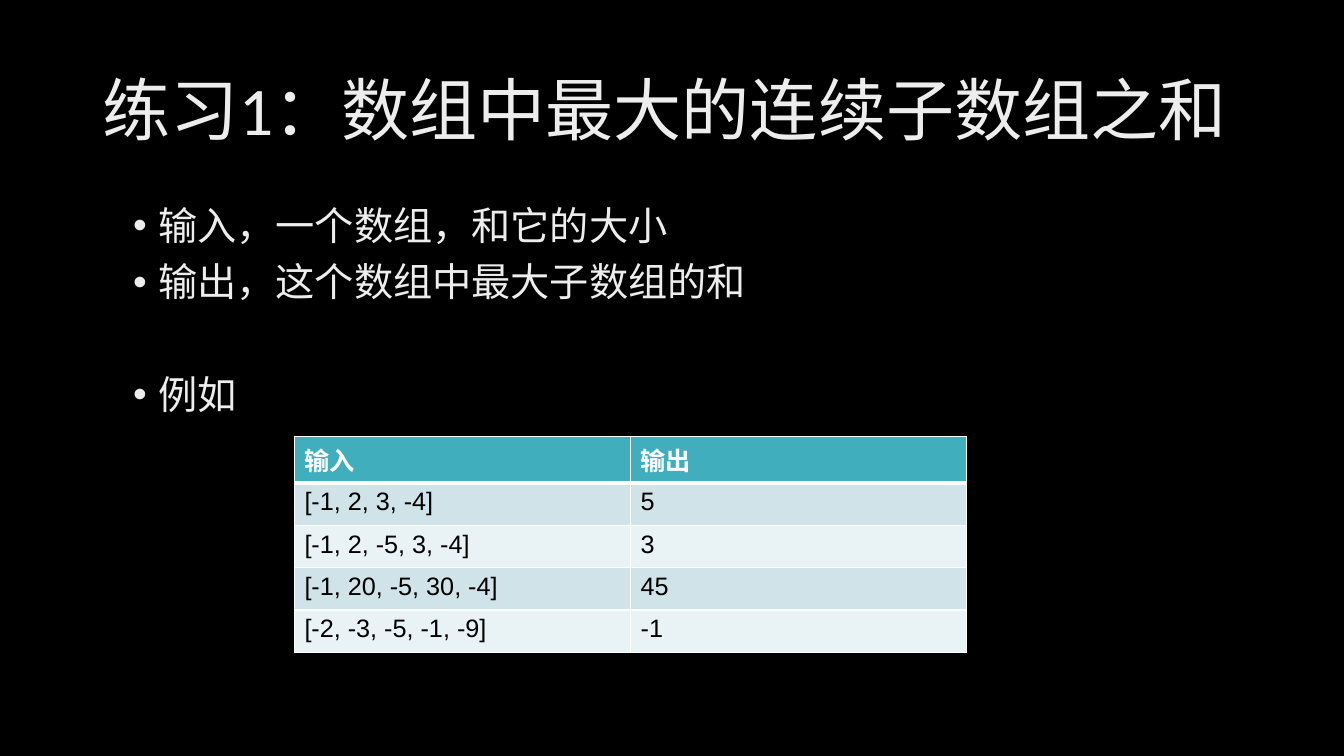
from lxml import etree
from pptx import Presentation
from pptx import util as u
from pptx.dml.color import RGBColor
from pptx.enum import text
from pptx.oxml import ns

COLORS = {
    "background": "000000",
    "heading": "EDEDED",
    "header": "41AEBD",
    "odd": "CFE3E8",
    "even": "E9F2F4",
    "border": "FFFFFF",
    "header_text": "FFFFFF",
    "cell_text": "000000",
}
EXAMPLES = [
    ("输入", "输出"),
    ("[-1, 2, 3, -4]", "5"),
    ("[-1, 2, -5, 3, -4]", "3"),
    ("[-1, 20, -5, 30, -4]", "45"),
    ("[-2, -3, -5, -1, -9]", "-1"),
]
BULLETS = [
    ("输入，一个数组，和它的大小", 10),
    ("输出，这个数组中最大子数组的和", 10),
    ("例如", 50),
]


class ExerciseSlide:
    """Holds the style and the current slide, and adds each kind of element."""

    def __init__(self, presentation):
        self.slide = presentation.slides.add_slide(presentation.slide_layouts[1])
        fill = self.slide.background.fill
        fill.solid()
        fill.fore_color.rgb = RGBColor.from_string(COLORS["background"])

    def apply(self, target, values):
        for name, value in values.items():
            setattr(target, name, value)

    def style_font(self, paragraph, color, **values):
        font = paragraph.runs[0].font
        self.apply(font, values)
        font.color.rgb = RGBColor.from_string(COLORS[color])

    def place(self, shape, left, top, width, height, anchor):
        box = {"left": left, "top": top, "width": width, "height": height}
        self.apply(shape, {name: u.Inches(value) for name, value in box.items()})
        self.apply(shape.text_frame, {
            "word_wrap": True,
            "auto_size": text.MSO_AUTO_SIZE.NONE,
            "vertical_anchor": anchor,
        })

    def title(self, wording):
        shape = self.slide.shapes.title
        self.place(shape, 0.92, 0.4, 11.5, 1.45, text.MSO_ANCHOR.MIDDLE)
        shape.text_frame.text = wording
        paragraph = shape.text_frame.paragraphs[0]
        self.apply(paragraph, {"alignment": text.PP_ALIGN.LEFT, "line_spacing": 0.9})
        self.style_font(paragraph, "heading", name="Calibri", size=u.Pt(48.6))

    def bullets(self, items):
        shape = self.slide.placeholders[1]
        self.place(shape, 1.22, 2, 11.19, 4.76, text.MSO_ANCHOR.TOP)
        shape.text_frame.text = "\n".join(wording for wording, _ in items)
        for paragraph, (_, gap) in zip(shape.text_frame.paragraphs, items):
            self.apply(paragraph, {"line_spacing": 0.9, "space_before": u.Pt(gap)})
            self.style_font(paragraph, "heading", name="Calibri", size=u.Pt(28))
            properties = paragraph._p.get_or_add_pPr()
            properties.set("marL", str(u.Inches(0.25)))
            properties.set("indent", str(u.Inches(-0.25)))
            etree.SubElement(properties, ns.qn("a:buFont")).set("typeface", "Arial")
            etree.SubElement(properties, ns.qn("a:buChar")).set("char", "•")

    def borders(self, cell, **widths):
        properties = cell._tc.get_or_add_tcPr()
        for index, side in enumerate("LRTB"):
            line = etree.Element(ns.qn(f"a:ln{side}"), w=str(u.Pt(widths.get(side, 1))))
            fill = etree.SubElement(line, ns.qn("a:solidFill"))
            etree.SubElement(fill, ns.qn("a:srgbClr")).set("val", COLORS["border"])
            properties.insert(index, line)

    def table(self, rows):
        row_height = 0.42
        frame = self.slide.shapes.add_table(
            len(rows), len(rows[0]), u.Inches(2.92), u.Inches(4.33),
            u.Inches(6.67), u.Inches(row_height * len(rows)))
        for row_index, row in enumerate(rows):
            is_header = row_index == 0
            band = "header" if is_header else ("even", "odd")[row_index % 2]
            color = "header_text" if is_header else "cell_text"
            widths = {0: {"B": 3}, 1: {"T": 3}}.get(row_index, {})
            for column_index, wording in enumerate(row):
                cell = frame.table.cell(row_index, column_index)
                cell.text = wording
                cell.fill.solid()
                cell.fill.fore_color.rgb = RGBColor.from_string(COLORS[band])
                self.style_font(cell.text_frame.paragraphs[0], color,
                                name="Arial", size=u.Pt(18), bold=is_header)
                self.borders(cell, **widths)


def main():
    presentation = Presentation()
    presentation.slide_width = u.Inches(13.33)
    presentation.slide_height = u.Inches(7.5)
    exercise = ExerciseSlide(presentation)
    exercise.title("练习1：数组中最大的连续子数组之和")
    exercise.bullets(BULLETS)
    exercise.table(EXAMPLES)
    presentation.save("out.pptx")


if __name__ == "__main__":
    main()
